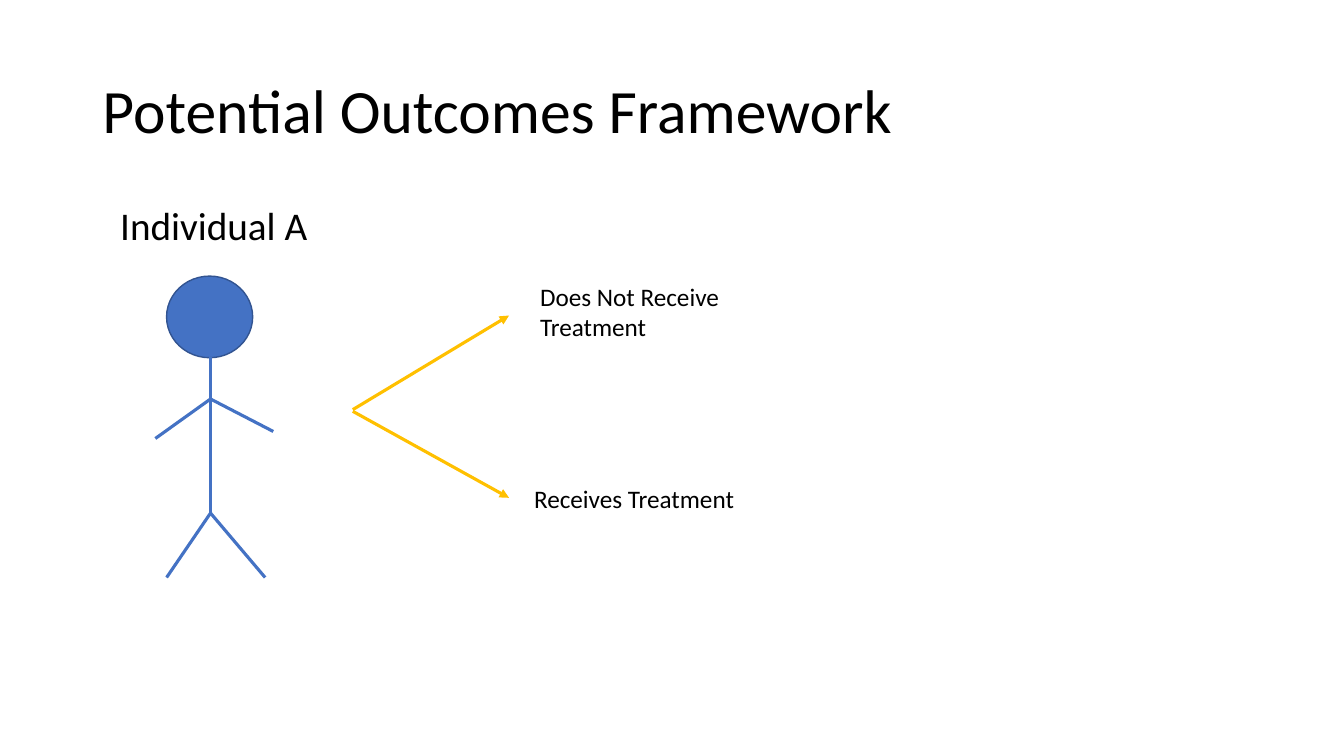
from lxml.etree import SubElement
from pptx import Presentation
from pptx.dml.color import RGBColor
from pptx.enum.shapes import MSO_CONNECTOR, MSO_SHAPE
from pptx.enum.text import MSO_ANCHOR as Anchor, MSO_AUTO_SIZE as AutoSize, PP_ALIGN as Align
from pptx.oxml.ns import qn
from pptx.util import Pt

FONT = "Calibri"
BLACK, BLUE, DARK_BLUE, GOLD = "000000", "4472C4", "325491", "FFC000"
LINE_WIDTH = 2.25


def color(value):
    """Turn a hex string into a colour."""
    return RGBColor.from_string(value)


def place(shape, left, top, width, height):
    """Move and size a shape."""
    shape.left, shape.top = Pt(left), Pt(top)
    shape.width, shape.height = Pt(width), Pt(height)


def write(shape, text, size, anchor=Anchor.TOP):
    """Set and format a single left-aligned paragraph, and return it."""
    frame = shape.text_frame
    frame.text = text
    frame.word_wrap = True
    frame.auto_size = AutoSize.NONE
    frame.vertical_anchor = anchor
    paragraph = frame.paragraphs[0]
    paragraph.alignment = Align.LEFT
    font = paragraph.runs[0].font
    font.name, font.size = FONT, Pt(size)
    font.color.rgb = color(BLACK)
    return paragraph


def remove_bullet(paragraph, indent):
    """Replace the bullet of a paragraph by a plain left indent."""
    properties = paragraph._p.get_or_add_pPr()
    properties.set("marL", str(Pt(indent)))
    properties.set("indent", "0")
    SubElement(properties, qn("a:buNone"))


def add_label(slide, text, left, top, height):
    """Add an outcome label."""
    label = slide.shapes.add_textbox(Pt(left), Pt(top), Pt(186.5), Pt(height))
    write(label, text, 18)


def add_line(slide, start, end, line_color, arrow=False):
    """Draw a straight line, with an arrowhead at its end if asked."""
    connector = slide.shapes.add_connector(
        MSO_CONNECTOR.STRAIGHT, *(Pt(value) for value in (*start, *end)))
    connector.line.color.rgb = color(line_color)
    connector.line.width = Pt(LINE_WIDTH)
    if arrow:
        SubElement(connector.line._get_or_add_ln(), qn("a:tailEnd"), type="triangle")
    SubElement(connector._element.spPr, qn("a:effectLst"))


def add_person(slide):
    """Draw the individual as a stick figure."""
    head = slide.shapes.add_shape(
        MSO_SHAPE.OVAL, Pt(119), Pt(197.2), Pt(61.5), Pt(58.3))
    head.shadow.inherit = False
    head.fill.solid()
    head.fill.fore_color.rgb = color(BLUE)
    head.line.color.rgb = color(DARK_BLUE)
    head.line.width = Pt(1)

    neck, shoulders, hips = ((150.4, y) for y in (255, 285, 366.5))
    limbs = [
        (neck, hips),
        (hips, (119, 412.5)),
        (hips, (189.4, 412.5)),
        ((111, 313.2), shoulders),
        (shoulders, (195.2, 308.2)),
    ]
    for start, end in limbs:
        add_line(slide, start, end, BLUE)


def main():
    """Build the slide and save it."""
    presentation = Presentation()
    presentation.slide_width, presentation.slide_height = Pt(960), Pt(540)
    slide = presentation.slides.add_slide(presentation.slide_layouts[1])

    title, body = slide.placeholders
    place(title, 66, 28.8, 828, 104.4)
    write(title, "Potential Outcomes Framework", 44, Anchor.MIDDLE).line_spacing = 0.9

    place(body, 66, 143.8, 828, 342.6)
    individual = write(body, "Individual A", 28)
    individual.line_spacing = 0.9
    individual.space_before = Pt(10)
    remove_bullet(individual, 12.7)

    add_person(slide)
    add_line(slide, (252, 292.6), (363.6, 225.4), GOLD, arrow=True)
    add_line(slide, (252, 293.8), (363.6, 355.6), GOLD, arrow=True)
    add_label(slide, "Does Not Receive Treatment", 378.7, 197.3, 50.9)
    add_label(slide, "Receives Treatment", 374.4, 342, 29.1)

    presentation.save("out.pptx")


main()
